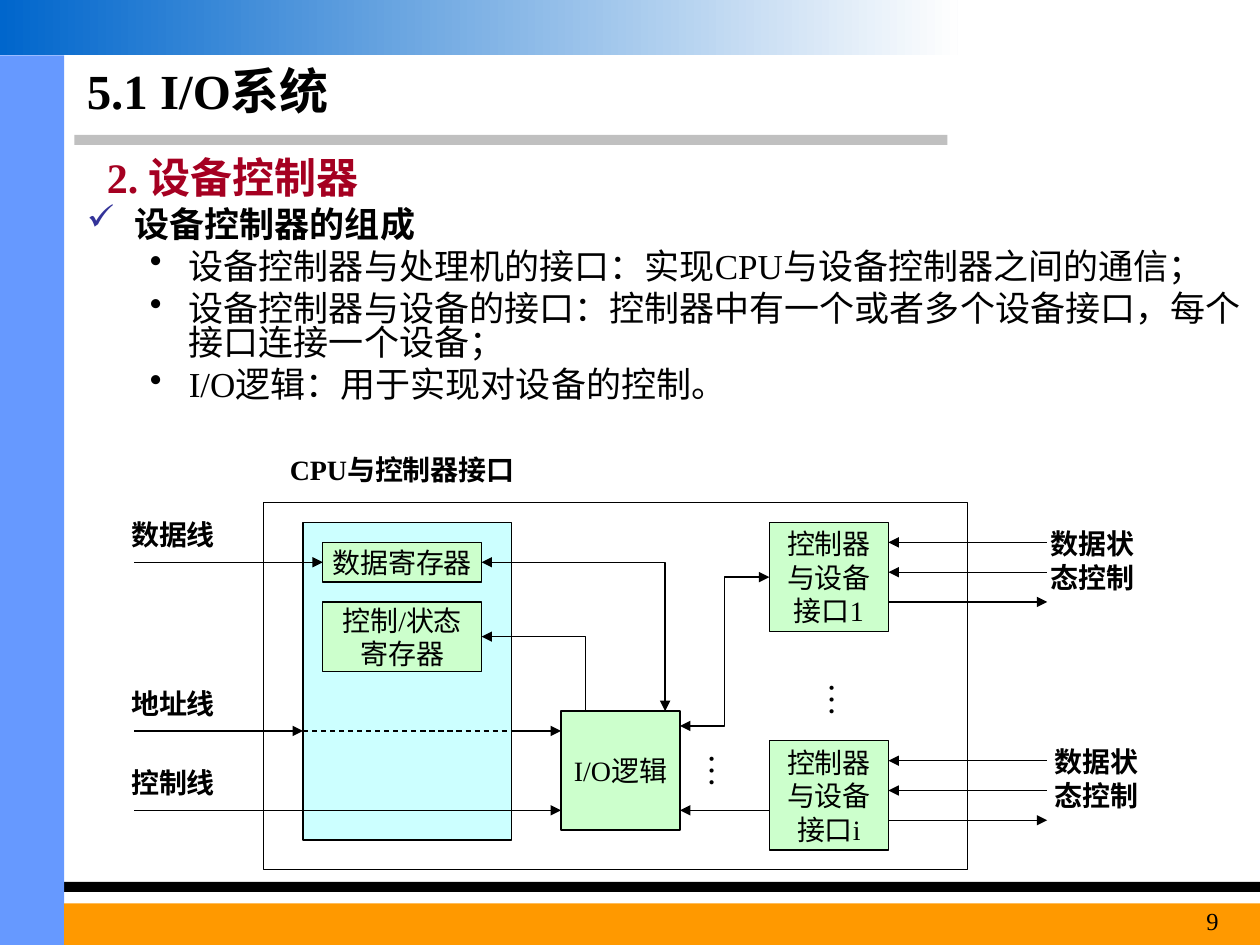
from dataclasses import dataclass
from typing import NamedTuple, Optional

from lxml import etree
from pptx import Presentation
from pptx import util as u
from pptx.dml.color import RGBColor
from pptx.enum import dml, shapes, text
from pptx.oxml.ns import qn

FONT = "Times New Roman"
BLACK, GREEN, CYAN = "000000", "CCFFCC", "CCFFFF"
WIDTH, HEIGHT = 10, 7.5
UNIT = 0.63 / 4


@dataclass(frozen=True)
class Grid:
    """Turns columns and rows into lengths; all values are inches."""
    left: float
    top: float
    column: float
    row: float

    def point(self, column: float, row: float) -> tuple:
        return (u.Inches(self.left + column * self.column),
                u.Inches(self.top + row * self.row))

    def box(self, column: float, row: float, columns: float, rows: float) -> tuple:
        return (*self.point(column, row),
                u.Inches(columns * self.column), u.Inches(rows * self.row))


PAGE = Grid(0, 0, WIDTH / 100, HEIGHT / 100)  # percent of the slide
DIAGRAM = Grid(2.09, 3.99, UNIT, UNIT)


class Block(NamedTuple):
    place: tuple
    fill: Optional[str] = GREEN
    lines: tuple = ()


class Label(NamedTuple):
    place: tuple
    words: str
    size: float = 16
    bold: bool = True
    align: text.PP_ALIGN = text.PP_ALIGN.CENTER
    colour: str = BLACK
    grid: Grid = DIAGRAM


class Wire(NamedTuple):
    start: tuple
    end: tuple
    head: bool = False
    tail: bool = False
    dashed: bool = False
    preset: str = "line"


def rgb(value: str) -> RGBColor:
    return RGBColor.from_string(value)


def style(paragraph, size: float, bold: bool = False, colour: str = BLACK) -> None:
    font = paragraph.font
    font.name, font.size, font.bold = FONT, u.Pt(size), bold
    font.color.rgb = rgb(colour)


def add_rectangle(slide, place: tuple, fill: Optional[str]):
    shape = slide.shapes.add_shape(shapes.MSO_SHAPE.RECTANGLE, *place)
    shape.shadow.inherit = False
    shape.line.fill.background()
    if fill:
        shape.fill.solid()
        shape.fill.fore_color.rgb = rgb(fill)
    else:
        shape.fill.background()
    return shape


def add_block(slide, block: Block):
    shape = add_rectangle(slide, DIAGRAM.box(*block.place), block.fill)
    shape.line.color.rgb = rgb(BLACK)
    shape.line.width = u.Pt(0.75)
    frame = shape.text_frame
    frame.word_wrap = False
    frame.vertical_anchor = text.MSO_ANCHOR.MIDDLE
    if block.lines:
        frame.text = "\n".join(block.lines)
        for paragraph in frame.paragraphs:
            paragraph.alignment = text.PP_ALIGN.CENTER
            style(paragraph, 16)
    return shape


def add_label(slide, label: Label):
    frame = slide.shapes.add_textbox(*label.grid.box(*label.place)).text_frame
    frame.word_wrap = True
    frame.text = label.words
    paragraph = frame.paragraphs[0]
    paragraph.alignment = label.align
    style(paragraph, label.size, label.bold, label.colour)
    return frame


def add_vertical_dots(slide, column: float, row: float) -> None:
    frame = add_label(slide, Label((column, row, 3.35, 2), "…", 20, False, text.PP_ALIGN.LEFT))
    frame.margin_left = frame.margin_right = u.Inches(0.05)
    frame.margin_top = frame.margin_bottom = u.Inches(0.1)
    frame._txBody.bodyPr.set("vert", "eaVert")


def add_wire(slide, wire: Wire):
    kind = shapes.MSO_CONNECTOR.STRAIGHT if wire.preset == "line" else shapes.MSO_CONNECTOR.ELBOW
    connector = slide.shapes.add_connector(
        kind, *DIAGRAM.point(*wire.start), *DIAGRAM.point(*wire.end))
    connector.line.color.rgb = rgb(BLACK)
    connector.line.width = u.Pt(0.75)
    if wire.dashed:
        connector.line.dash_style = dml.MSO_LINE.DASH
    properties = connector._element.spPr
    properties.find(qn("a:prstGeom")).set("prst", wire.preset)
    for shown, tag in ((wire.head, "a:headEnd"), (wire.tail, "a:tailEnd")):
        if shown:
            etree.SubElement(properties.find(qn("a:ln")), qn(tag), type="triangle")
    etree.SubElement(properties, qn("a:effectLst"))
    return connector


def add_bullets(slide) -> None:
    frame = slide.shapes.add_textbox(*PAGE.box(5.9, 21.6, 94.1, 23.07)).text_frame
    frame.word_wrap = True
    items = ("设备控制器的组成",
             "设备控制器与处理机的接口：实现CPU与设备控制器之间的通信；",
             "设备控制器与设备的接口：控制器中有一个或者多个设备接口，每个接口连接一个设备；",
             "I/O逻辑：用于实现对设备的控制。")
    frame.text = "\n".join(items)
    for index, paragraph in enumerate(frame.paragraphs):
        top = index == 0
        margin, hanging, mark, colour = (
            (0.38, 0.38, "✓", "333399") if top else (0.81, 0.31, "•", BLACK))
        paragraph.level = 0 if top else 1
        paragraph.line_spacing = 0.8
        paragraph.space_before = u.Pt(0 if top else 5)
        properties = paragraph._p.get_or_add_pPr()
        properties.set("marL", str(u.Inches(margin)))
        properties.set("indent", str(-u.Inches(hanging)))
        bullet_colour = etree.SubElement(properties, qn("a:buClr"))
        etree.SubElement(bullet_colour, qn("a:srgbClr"), val=colour)
        etree.SubElement(properties, qn("a:buChar"), char=mark)
        style(paragraph, 20, bold=top)


def add_page_frame(slide) -> None:
    for place, fill in (((5.9, 14.27, 69.3, 1.07), "C0C0C0"),
                        ((0, 93.33, 100, 1.07), BLACK),
                        ((0, 5.87, 5.1, 94.13), "6699FF"),
                        ((5.1, 95.6, 94.9, 4.4), "FF9900")):
        add_rectangle(slide, PAGE.box(*place), fill)
    banner = add_rectangle(slide, PAGE.box(0, 0, 76, 5.87), None)
    banner.fill.gradient()
    banner.fill.gradient_angle = 0
    for stop, position, colour in zip(banner.fill.gradient_stops, (0, 1), ("0066CC", "FEFEFE")):
        stop.position = position
        stop.color.rgb = rgb(colour)


def add_diagram(slide) -> None:
    add_block(slide, Block((0, 0, 35.5, 18.5), None))
    add_block(slide, Block((2, 1, 10.5, 16), CYAN))
    data_register = add_block(slide, Block((3, 2, 8, 2), lines=("数据寄存器",)))
    add_block(slide, Block((3, 5, 8, 3.5), lines=("控制/状态", "寄存器")))
    add_block(slide, Block((15, 10.5, 6, 6), lines=("I/O逻辑",)))

    for name, row, label_row, label_columns in (("1", 1, 0.9, 5.55), ("i", 12, 11.87, 6)):
        add_block(slide, Block((25.5, row, 6, 5.5), lines=("控制器", "与设备", "接口" + name)))
        add_label(slide, Label((39, label_row, label_columns, 4), "数据状态控制"))
        for step in range(3):
            level = row + 1 + 1.5 * step
            add_wire(slide, Wire((31.5, level), (39.5, level), head=step < 2, tail=step == 2))

    add_label(slide, Label((0, -2.85, 14, 2.35), "CPU与控制器接口"))
    buses = {}
    for name, row, end in (("数据线", 3, 3), ("地址线", 11.5, 2), ("控制线", 15.5, 15)):
        add_label(slide, Label((-7.55, row - 2.55, 6, 2.35), name))
        buses[name] = add_wire(slide, Wire((-6.5, row), (end, row), tail=True))
    buses["数据线"].end_connect(data_register, 1)

    for wire in (Wire((12.5, 11.5), (15, 11.5), tail=True),
                 Wire((2, 11.5), (12.5, 11.5), dashed=True),
                 Wire((21, 15.5), (25.5, 15.5), head=True),
                 Wire((25.5, 3.75), (21, 11.25), True, True, preset="bentConnector3"),
                 Wire((11, 6.75), (16.25, 10.5), head=True, preset="bentConnector2"),
                 Wire((11, 3), (20.25, 10.5), True, True, preset="bentConnector2")):
        add_wire(slide, wire)
    add_vertical_dots(slide, 27.3, 8.45)
    add_vertical_dots(slide, 21.25, 12)


def main() -> None:
    presentation = Presentation()
    presentation.slide_width, presentation.slide_height = u.Inches(WIDTH), u.Inches(HEIGHT)
    slide = presentation.slides.add_slide(presentation.slide_layouts[6])
    add_page_frame(slide)
    left, right = text.PP_ALIGN.LEFT, text.PP_ALIGN.RIGHT
    title = add_label(slide, Label((5.9, 5.87, 68.5, 7.33), "5.1 I/O系统", 28, align=left, grid=PAGE))
    title.vertical_anchor = text.MSO_ANCHOR.MIDDLE
    add_label(slide, Label((7.5, 15.33, 56.7, 6.67), "2. 设备控制器", 24, True, left, "A50021", PAGE))
    add_bullets(slide)
    add_diagram(slide)
    add_label(slide, Label((88.6, 95.2, 9.1, 4.8), "9", 14, False, right, grid=PAGE))
    presentation.save("out.pptx")


if __name__ == "__main__":
    main()
